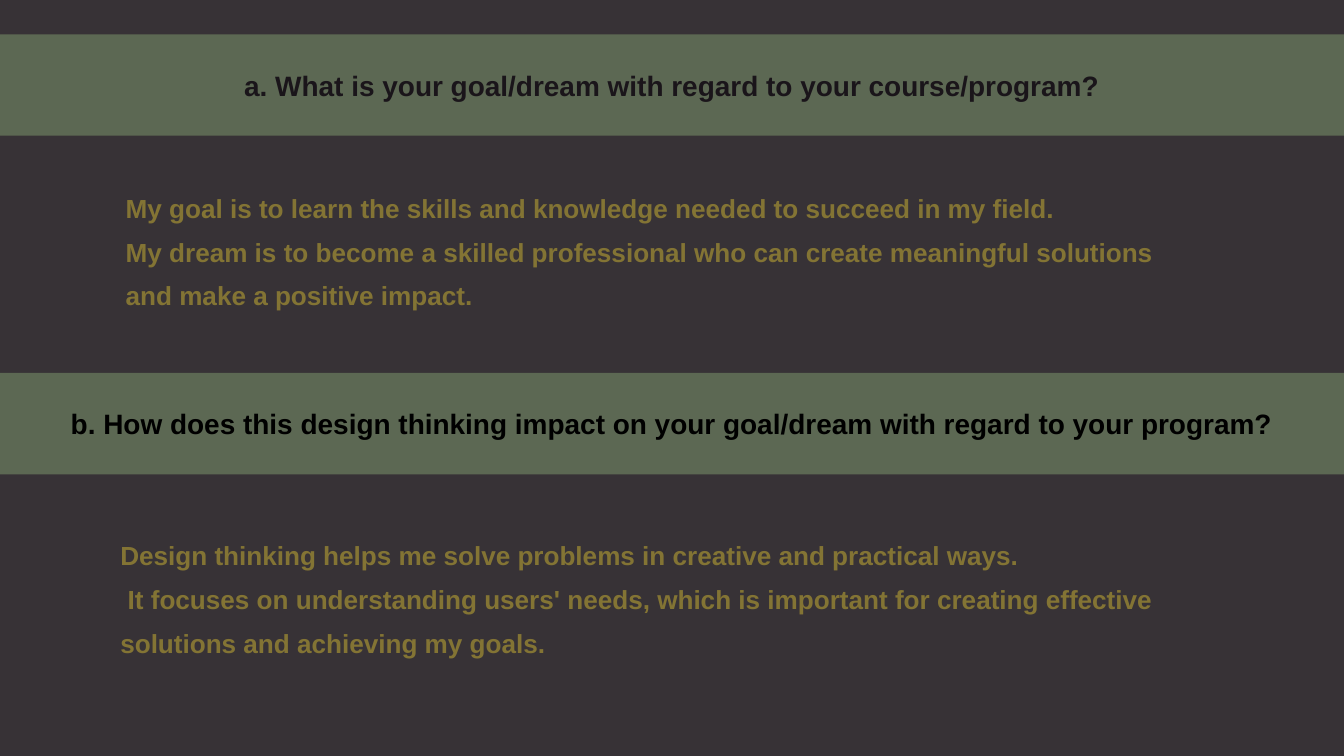
import pptx
import pptx.dml.color
import pptx.enum.shapes
import pptx.enum.text
import pptx.util

Inches = pptx.util.Inches
ALIGN = pptx.enum.text.PP_ALIGN
ANCHOR = pptx.enum.text.MSO_ANCHOR

SLIDE_WIDTH = 20
BAND_HEIGHT = 1.51
BACKGROUND = "373236"
BAND_GREEN = "5C6853"
ANSWER_GOLD = "837434"


def color(hex_string):
    return pptx.dml.color.RGBColor.from_string(hex_string)


def write(shape, *lines, size, ink, align=ALIGN.LEFT, anchor=ANCHOR.TOP,
          spacing=1.0, last_indent=0):
    """Write one bold paragraph per line; last_indent shifts the last one's first line."""
    frame = shape.text_frame
    frame.auto_size = pptx.enum.text.MSO_AUTO_SIZE.NONE
    frame.word_wrap = True
    frame.vertical_anchor = anchor
    frame.margin_left = frame.margin_right = 0
    frame.margin_top = frame.margin_bottom = 0
    frame.text = "\n".join(lines)
    for paragraph in frame.paragraphs:
        paragraph.alignment = align
        paragraph.line_spacing = spacing
        for run in paragraph.runs:
            run.font.name = "Arial"
            run.font.size = pptx.util.Pt(size)
            run.font.bold = True
            run.font.color.rgb = color(ink)
    if last_indent:
        properties = frame.paragraphs[-1]._p.get_or_add_pPr()
        properties.set("indent", str(Inches(last_indent)))


def format_band(band, question, top, ink):
    band.left, band.top = Inches(0), Inches(top)
    band.width, band.height = Inches(SLIDE_WIDTH), Inches(BAND_HEIGHT)
    band.fill.solid()
    band.fill.fore_color.rgb = color(BAND_GREEN)
    band.line.fill.background()
    write(band, question, size=30, ink=ink, align=ALIGN.CENTER,
          anchor=ANCHOR.MIDDLE)


def add_answer(slide, *lines, left, top, width, last_indent=0):
    answer = slide.shapes.add_textbox(
        Inches(left), Inches(top), Inches(width), Inches(1.98))
    write(answer, *lines, size=28, ink=ANSWER_GOLD, spacing=1.4,
          last_indent=last_indent)


def main():
    deck = pptx.Presentation()
    deck.slide_width = Inches(SLIDE_WIDTH)
    deck.slide_height = Inches(11.25)
    slide = deck.slides.add_slide(deck.slide_layouts.get_by_name("Title Only"))
    slide.background.fill.solid()
    slide.background.fill.fore_color.rgb = color(BACKGROUND)

    format_band(
        slide.shapes.title,
        "a. What is your goal/dream with regard to your course/program?",
        top=0.51, ink="1A151A")
    add_answer(
        slide,
        "My goal is to learn the skills and knowledge needed to succeed in my field.",
        "My dream is to become a skilled professional who can create meaningful "
        "solutions and make a positive impact.",
        left=1.87, top=2.67, width=15.98)

    impact_band = slide.shapes.add_shape(
        pptx.enum.shapes.MSO_SHAPE.RECTANGLE, 0, 0, 0, 0)
    impact_band.shadow.inherit = False
    format_band(
        impact_band,
        "b. How does this design thinking impact on your goal/dream with regard "
        "to your program?",
        top=5.55, ink="000000")
    add_answer(
        slide,
        "Design thinking helps me solve problems in creative and practical ways.",
        "It focuses on understanding users' needs, which is important for creating "
        "effective solutions and achieving my goals.",
        left=1.79, top=7.84, width=16.05, last_indent=0.11)

    deck.save("out.pptx")


if __name__ == "__main__":
    main()
